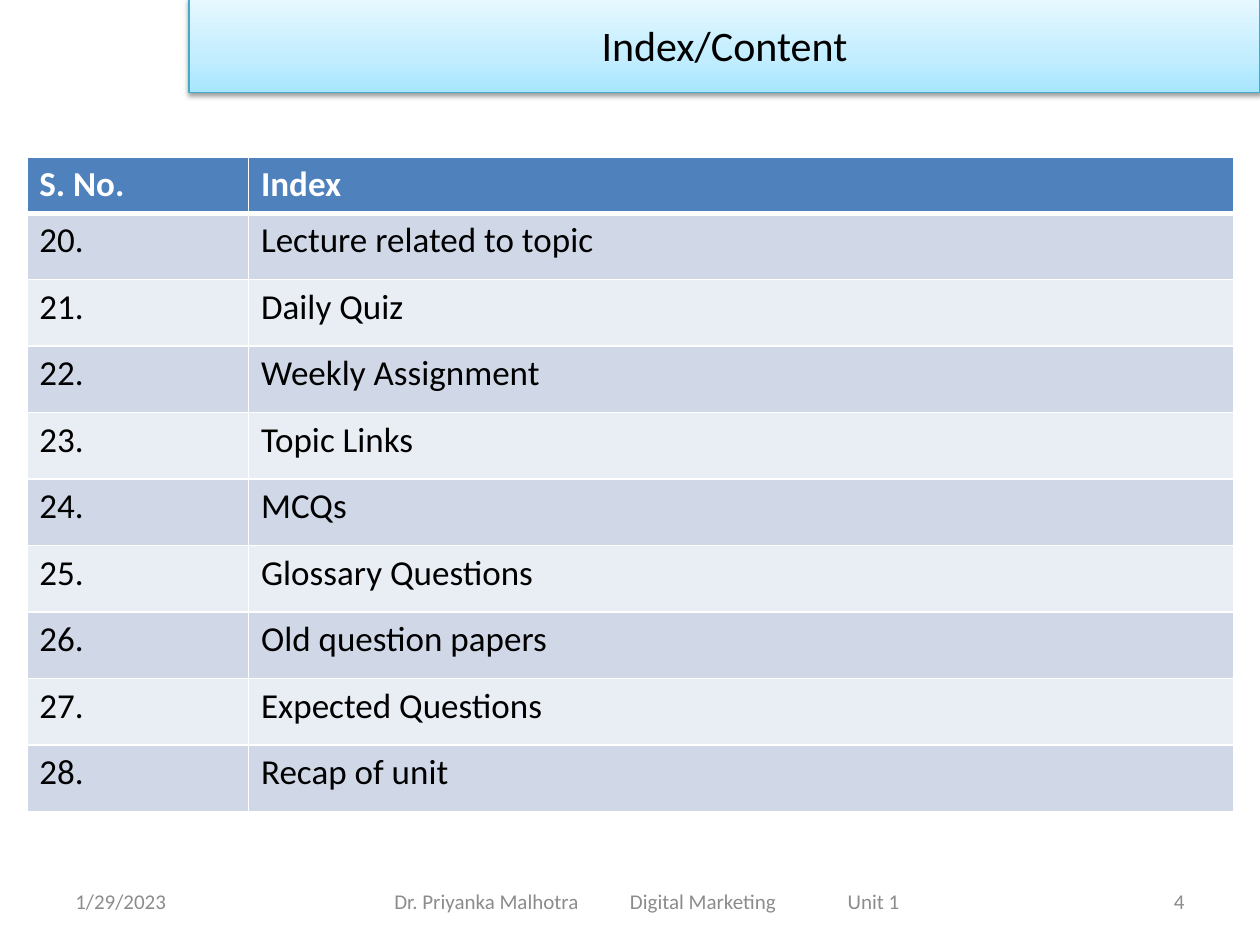
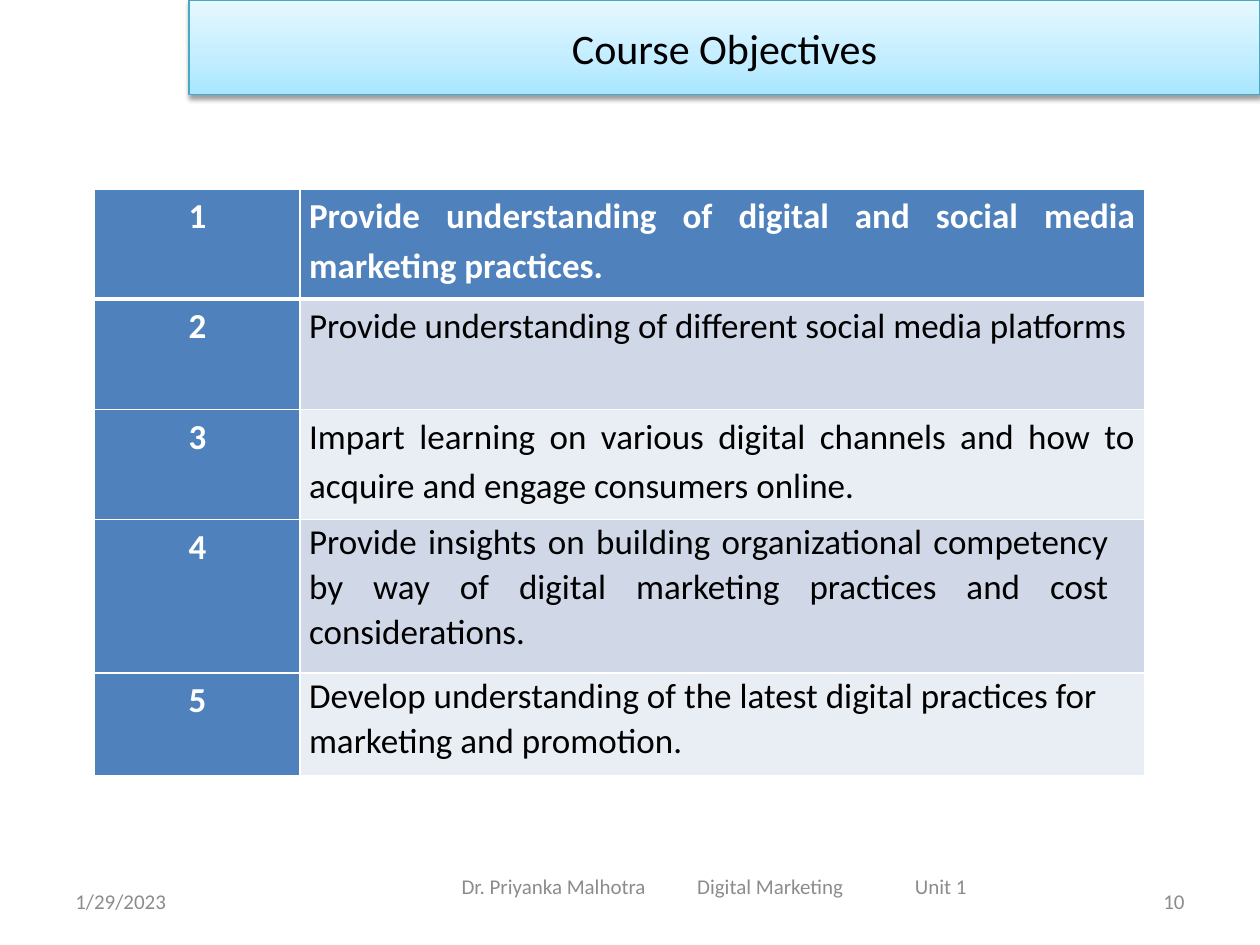
import copy
from dataclasses import dataclass, field
from typing import Any

import lxml.etree
import pptx
import pptx.dml.color
import pptx.enum.text
import pptx.oxml
import pptx.oxml.ns
import pptx.util

Cm = pptx.util.Cm
Pt = pptx.util.Pt
RGBColor = pptx.dml.color.RGBColor
Align = pptx.enum.text.PP_ALIGN
Anchor = pptx.enum.text.MSO_ANCHOR
qn = pptx.oxml.ns.qn

# Shared look
FONT_NAME = "Calibri"
WHITE = RGBColor(0xFF, 0xFF, 0xFF)
BLACK = RGBColor(0x00, 0x00, 0x00)
FOOTER_GREY = RGBColor(0x8C, 0x8C, 0x8C)
HEADER_BLUE = RGBColor(0x4F, 0x81, 0xBD)
ROW_DARK = RGBColor(0xD0, 0xD8, 0xE8)
ROW_LIGHT = RGBColor(0xE9, 0xED, 0xF4)
BANNER_LINE = RGBColor(0x46, 0xAA, 0xC5)
BANNER_STOPS = (
    (0.0, RGBColor(0xA7, 0xE6, 0xFF)),
    (0.35, RGBColor(0xC1, 0xED, 0xFF)),
    (1.0, RGBColor(0xE7, 0xF8, 0xFF)),
)
TITLE_FONT = {"name": FONT_NAME, "size": Pt(24), "bold": False}
TABLE_FONT = {"name": FONT_NAME, "size": Pt(20)}
FOOTER_FONT = {"name": FONT_NAME, "size": Pt(12)}

# Footer wording and measures
DATE = "1/29/2023"
FOOTER = "Dr. Priyanka Malhotra\tDigital Marketing\tUnit 1"
FOOTER_TABS = (Cm(4.75), Cm(9.14))
FOOTER_TEXT_WIDTH = Cm(10.16)
FOOTER_TOP = Cm(17.65)
FOOTER_HEIGHT = Cm(1.02)


@dataclass(frozen=True)
class Box:
    left: int
    top: int
    width: int
    height: int


@dataclass(frozen=True)
class TableCell:
    text: str
    fill: RGBColor
    is_header: bool = False
    paragraph_format: dict[str, Any] = field(default_factory=dict)
    margins: dict[str, int] = field(default_factory=dict)


@dataclass(frozen=True)
class Objective:
    text: str
    row_height: int
    alignment: Any = Align.JUSTIFY
    line_spacing: float = 1.15
    right_margin: int = Cm(0.18)


@dataclass(frozen=True)
class SlideFrame:
    title: str
    number: str
    banner_top: int
    footer_box: Box


def apply_format(target: Any, values: dict[str, Any]) -> None:
    for name, value in values.items():
        setattr(target, name, value)


def format_font(paragraph: Any, values: dict[str, Any], color: RGBColor) -> None:
    apply_format(paragraph.font, values)
    paragraph.font.color.rgb = color


# Title banner
def draw_banner(slide: Any, title: str, top: int) -> None:
    shape = slide.shapes.title
    apply_format(shape, {"left": Cm(3.81), "top": top,
                         "width": Cm(21.59), "height": Cm(1.91)})
    shape.fill.gradient()
    shape.fill.gradient_angle = 90
    stop_list = shape.element.spPr.find(".//" + qn("a:gsLst"))
    stop_list.insert(1, copy.deepcopy(stop_list[0]))
    for stop, (position, color) in zip(shape.fill.gradient_stops, BANNER_STOPS):
        stop.position = position
        stop.color.rgb = color
    shape.line.color.rgb = BANNER_LINE
    shape.line.width = Pt(0.75)

    shape.shadow.inherit = False
    effects = shape.element.spPr.find(qn("a:effectLst"))
    shadow = lxml.etree.SubElement(
        effects, qn("a:outerShdw"), blurRad=str(Pt(3.1)), dist=str(Pt(1.6)),
        dir="5400000", rotWithShape="0")
    shadow_color = lxml.etree.SubElement(shadow, qn("a:srgbClr"), val=str(BLACK))
    lxml.etree.SubElement(shadow_color, qn("a:alpha"), val="38000")

    shape.text_frame.text = title
    shape.text_frame.vertical_anchor = Anchor.MIDDLE
    paragraph = shape.text_frame.paragraphs[0]
    paragraph.alignment = Align.CENTER
    format_font(paragraph, TITLE_FONT, BLACK)


# Footer line
def add_footer_text(slide: Any, box: Box, text: str, alignment: Any) -> Any:
    shape = slide.shapes.add_textbox(box.left, box.top, box.width, box.height)
    frame = shape.text_frame
    apply_format(frame, {"word_wrap": True, "vertical_anchor": Anchor.MIDDLE,
                         "text": text})
    paragraph = frame.paragraphs[0]
    paragraph.alignment = alignment
    if "\t" in text:
        tab_list = lxml.etree.SubElement(
            paragraph._p.get_or_add_pPr(), qn("a:tabLst"))
        for position in FOOTER_TABS:
            lxml.etree.SubElement(
                tab_list, qn("a:tab"), pos=str(int(position)), algn="l")
    format_font(paragraph, FOOTER_FONT, FOOTER_GREY)
    return frame


def draw_footer(slide: Any, number: str, footer_box: Box) -> None:
    date_box = Box(Cm(1.27), FOOTER_TOP, Cm(5.92), FOOTER_HEIGHT)
    number_box = Box(Cm(18.21), FOOTER_TOP, Cm(5.92), FOOTER_HEIGHT)
    add_footer_text(slide, date_box, DATE, Align.LEFT)
    add_footer_text(slide, number_box, number, Align.RIGHT)
    frame = add_footer_text(slide, footer_box, FOOTER, Align.LEFT)
    frame.margin_left = (footer_box.width - FOOTER_TEXT_WIDTH) // 2
    frame.margin_right = 0


# Tables
def set_borders(cell: Any, top_width: float, bottom_width: float) -> None:
    properties = cell._tc.get_or_add_tcPr()
    widths = {"lnL": 1, "lnR": 1, "lnT": top_width, "lnB": bottom_width}
    for index, (side, width) in enumerate(widths.items()):
        line = properties.makeelement(qn(f"a:{side}"), {"w": str(int(Pt(width)))})
        solid = lxml.etree.SubElement(line, qn("a:solidFill"))
        lxml.etree.SubElement(solid, qn("a:srgbClr"), val=str(WHITE))
        properties.insert(index, line)


def draw_table(slide: Any, left: int, top: int, column_widths: list[int],
               row_heights: list[int], rows: list[list[TableCell]]) -> None:
    table = slide.shapes.add_table(
        len(rows), len(column_widths), left, top,
        sum(column_widths), sum(row_heights)).table
    for column, width in zip(table.columns, column_widths):
        column.width = width
    for row, height in zip(table.rows, row_heights):
        row.height = height
    for row_index, row_cells in enumerate(rows):
        for column_index, content in enumerate(row_cells):
            cell = table.cell(row_index, column_index)
            cell.text = content.text
            cell.fill.solid()
            cell.fill.fore_color.rgb = content.fill
            apply_format(cell, content.margins)
            set_borders(cell, 3 if row_index == 1 else 1,
                        3 if row_index == 0 else 1)
            paragraph = cell.text_frame.paragraphs[0]
            apply_format(paragraph, content.paragraph_format)
            format_font(paragraph, TABLE_FONT | {"bold": content.is_header},
                        WHITE if content.is_header else BLACK)


def band_color(row_index: int) -> RGBColor:
    return ROW_DARK if row_index % 2 else ROW_LIGHT


def add_framed_slide(presentation: Any, frame: SlideFrame) -> Any:
    slide = presentation.slides.add_slide(presentation.slide_layouts[5])
    draw_banner(slide, frame.title, frame.banner_top)
    draw_footer(slide, frame.number, frame.footer_box)
    return slide


# Index slide
INDEX_FRAME = SlideFrame("Index/Content", "4", Cm(-0.05),
                         Box(Cm(4.24), FOOTER_TOP, Cm(17.58), FOOTER_HEIGHT))
FIRST_INDEX_NUMBER = 20
INDEX_TOPICS = (
    "Lecture related to topic", "Daily Quiz", "Weekly Assignment",
    "Topic Links", "MCQs", "Glossary Questions", "Old question papers",
    "Expected Questions", "Recap of unit",
)


def build_index_slide(presentation: Any) -> None:
    slide = add_framed_slide(presentation, INDEX_FRAME)
    rows = [[TableCell(label, HEADER_BLUE, True) for label in ("S. No.", "Index")]]
    for row_index, topic in enumerate(INDEX_TOPICS, start=1):
        number = f"{FIRST_INDEX_NUMBER + row_index - 1}."
        rows.append([TableCell(text, band_color(row_index))
                     for text in (number, topic)])
    row_heights = [Cm(1.14)] + [Cm(1.34)] * len(INDEX_TOPICS)
    draw_table(slide, Cm(0.54), Cm(3.16), [Cm(4.47), Cm(19.86)],
               row_heights, rows)


# Course objectives slide
OBJECTIVES_FRAME = SlideFrame("Course Objectives", "10", Cm(0),
                              Box(Cm(7.82), Cm(17.35), Cm(13.13), FOOTER_HEIGHT))
OBJECTIVES = (
    Objective("Provide understanding of digital and social media marketing "
              "practices.", Cm(2.22)),
    Objective("Provide understanding of different social media platforms",
              Cm(2.22)),
    Objective("Impart learning on various digital channels and how to acquire "
              "and engage consumers online.", Cm(2.22)),
    Objective("Provide insights on building organizational competency by way of "
              "digital marketing practices and cost considerations.",
              Cm(3.1), line_spacing=1.05, right_margin=Cm(0.72)),
    Objective("Develop understanding of the latest digital practices for "
              "marketing and promotion.", Cm(2.06), Align.LEFT, 1.05),
)


def build_objectives_slide(presentation: Any) -> None:
    slide = add_framed_slide(presentation, OBJECTIVES_FRAME)
    margins = {"margin_left": Cm(0.18), "margin_right": Cm(0.18),
               "margin_top": 0, "margin_bottom": 0}
    rows = []
    for row_index, objective in enumerate(OBJECTIVES):
        is_first = row_index == 0
        rows.append([
            TableCell(str(row_index + 1), HEADER_BLUE, True,
                      {"alignment": Align.CENTER, "line_spacing": 1.15}, margins),
            TableCell(objective.text,
                      HEADER_BLUE if is_first else band_color(row_index), is_first,
                      {"alignment": objective.alignment,
                       "line_spacing": objective.line_spacing},
                      margins | {"margin_right": objective.right_margin}),
        ])
    draw_table(slide, Cm(1.91), Cm(3.81), [Cm(4.14), Cm(17.02)],
               [objective.row_height for objective in OBJECTIVES], rows)


def main() -> None:
    presentation = pptx.Presentation()
    presentation.slide_width = Cm(25.4)
    presentation.slide_height = Cm(19.05)
    build_index_slide(presentation)
    build_objectives_slide(presentation)
    presentation.save("out.pptx")


if __name__ == "__main__":
    main()
